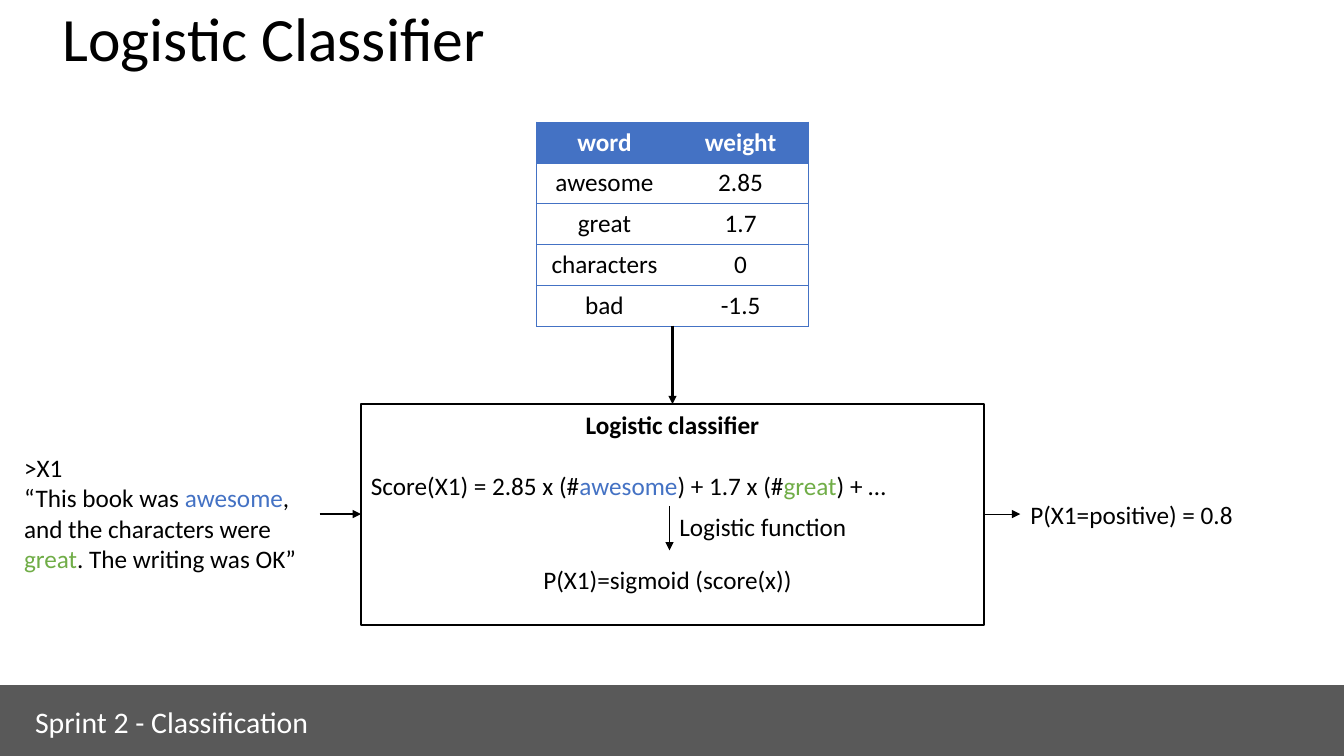
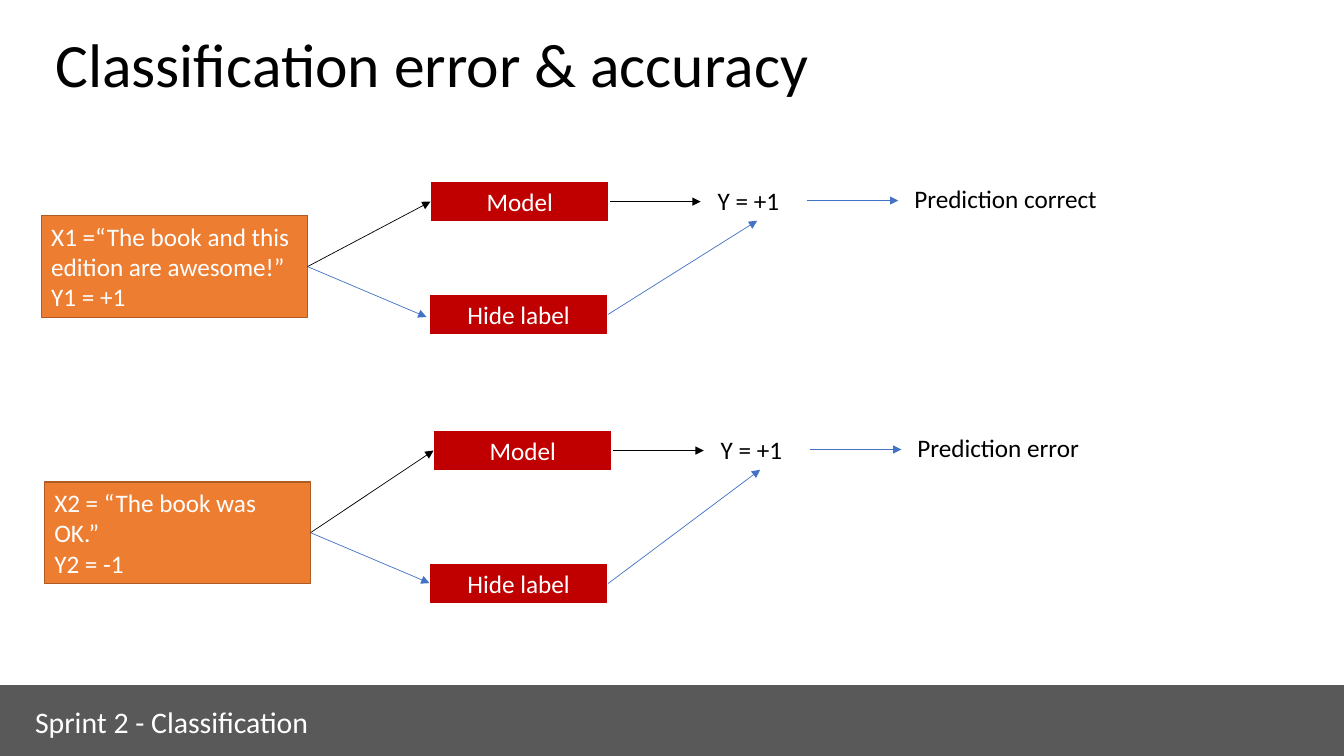
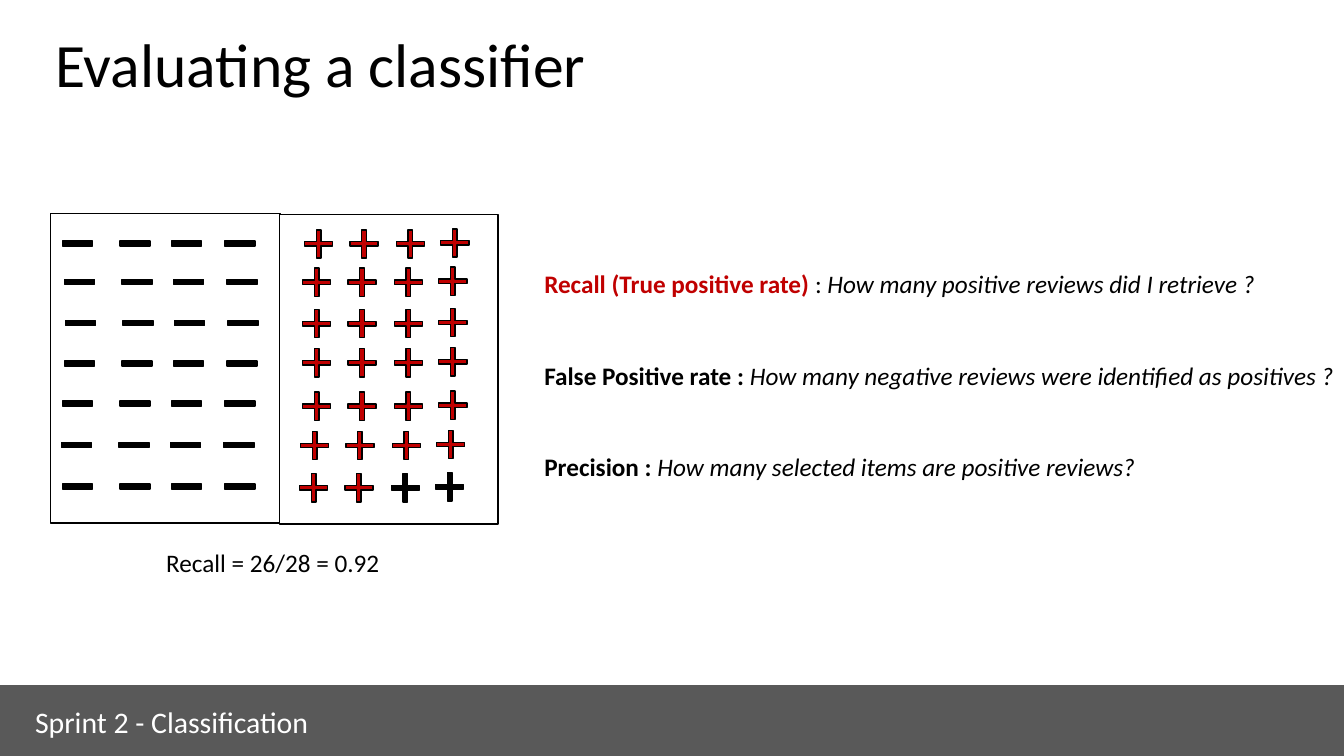
from lxml import etree
from pptx import Presentation
from pptx import util as u
from pptx.dml.color import RGBColor
from pptx.enum import shapes, text
from pptx.oxml.ns import qn

FONT = "Calibri"
BLACK, WHITE, GRAY = "000000", "FFFFFF", "595959"
BLUE, GREEN, RED = "4472C4", "70AD47", "C00000"
ORANGE, BROWN = "ED7D31", "AF5C24"
LINE_HEIGHT = 22  # points, one line of 18 pt text

RECT = shapes.MSO_SHAPE.RECTANGLE
PLUS = shapes.MSO_SHAPE.CROSS
LEFT, CENTER = text.PP_ALIGN.LEFT, text.PP_ALIGN.CENTER
TOP, MIDDLE = text.MSO_ANCHOR.TOP, text.MSO_ANCHOR.MIDDLE


def rgb(color):
    return RGBColor.from_string(color)


def inches(*lengths):
    return [u.Inches(length) for length in lengths]


def write(frame, paragraphs, size=18, color=BLACK, bold=False, align=LEFT,
          anchor=TOP, gap=0, spacing=None):
    """Fill a frame; a paragraph is a string or a list of strings and (string, format) runs."""
    frame.word_wrap = True
    frame.vertical_anchor = anchor
    for i, runs in enumerate(paragraphs):
        paragraph = frame.add_paragraph() if i else frame.paragraphs[0]
        paragraph.alignment = align
        if i and gap:
            paragraph.space_before = u.Pt(gap)
        if spacing:
            paragraph.line_spacing = spacing
        for part in [runs] if isinstance(runs, str) else runs:
            words, style = (part, {}) if isinstance(part, str) else part
            run = paragraph.add_run()
            run.text = words
            run.font.name = FONT
            run.font.size = u.Pt(size)
            run.font.bold = style.get("bold", bold)
            run.font.italic = style.get("italic", False)
            run.font.color.rgb = rgb(style.get("color", color))


def label(slide, at, *paragraphs, **style):
    frame = slide.shapes.add_textbox(*inches(*at)).text_frame
    write(frame, paragraphs, **style)


def box(slide, at, fill, line, *paragraphs, kind=RECT, width=1, **style):
    shape = slide.shapes.add_shape(kind, *inches(*at))
    shape.shadow.inherit = False
    shape.fill.solid()
    shape.fill.fore_color.rgb = rgb(fill)
    shape.line.color.rgb = rgb(line)
    shape.line.width = u.Pt(width)
    if paragraphs:
        write(shape.text_frame, paragraphs, **style)
    return shape


def arrow(slide, start, end, color=BLACK, width=0.5):
    connector = slide.shapes.add_connector(
        shapes.MSO_CONNECTOR.STRAIGHT, *inches(*start, *end))
    connector.line.color.rgb = rgb(color)
    connector.line.width = u.Pt(width)
    etree.SubElement(connector.line._get_or_add_ln(), qn("a:tailEnd"), type="triangle")
    etree.SubElement(connector._element.spPr, qn("a:effectLst"))


def set_borders(cell, sides):
    """Draw thin blue borders on the given sides and none on the others."""
    properties = cell._tc.get_or_add_tcPr()
    for i, side in enumerate("LRTB"):
        line = etree.Element(qn(f"a:ln{side}"), w=str(u.Pt(0.5)))
        if side in sides:
            fill = etree.SubElement(line, qn("a:solidFill"))
            etree.SubElement(fill, qn("a:srgbClr"), val=BLUE)
        else:
            etree.SubElement(line, qn("a:noFill"))
        properties.insert(i, line)


def weight_table(slide, at, rows):
    table = slide.shapes.add_table(len(rows), len(rows[0]), *inches(*at)).table
    for r, row in enumerate(rows):
        for c, value in enumerate(row):
            cell = table.cell(r, c)
            header = r == 0
            cell.fill.solid()
            cell.fill.fore_color.rgb = rgb(BLUE if header else WHITE)
            write(cell.text_frame, [value], color=WHITE if header else BLACK,
                  bold=header, align=CENTER)
            set_borders(cell, "TBL" if c == 0 else "TBR")


def new_slide(deck, title, title_at=(0.45, 0.29)):
    slide = deck.slides.add_slide(deck.slide_layouts[6])
    label(slide, (*title_at, 12, 1.25), title, size=44, spacing=0.9)
    box(slide, (-0.02, 6.8, 13.35, 0.7), GRAY, GRAY)
    label(slide, (0.25, 6.93, 3.36, 0.46), "Sprint 2 - Classification",
          size=21.3, color=WHITE, anchor=MIDDLE)
    return slide


def logistic_classifier(deck):
    slide = new_slide(deck, "Logistic Classifier", (0.52, 0.03))
    awesome = ("awesome", {"color": BLUE})
    great = ("great", {"color": GREEN})

    label(slide, (0.14, 4.44, 3.03, 1.31), ">X1",
          ["“This book was ", awesome, ", and the characters were ", great,
           ". The writing was OK”"])
    classifier = box(slide, (3.58, 4.01, 6.18, 2.19), WHITE, BLACK,
                     [("Logistic classifier", {"bold": True})],
                     ["Score(X1) = 2.85 x (#", awesome, ") + 1.7 x (#", great, ") + …"],
                     gap=LINE_HEIGHT)
    classifier.text_frame.paragraphs[0].alignment = CENTER
    weight_table(slide, (5.32, 1.21, 2.7, 2.03),
                 [("word", "weight"), ("awesome", "2.85"), ("great", "1.7"),
                  ("characters", "0"), ("bad", "-1.5")])
    arrow(slide, (6.67, 3.23), (6.67, 4.01), width=1.5)
    arrow(slide, (3.17, 5.1), (3.58, 5.1), width=1.5)
    arrow(slide, (6.64, 5.02), (6.64, 5.46))
    arrow(slide, (9.76, 5.1), (10.12, 5.1))
    label(slide, (6.64, 5.02, 2, 0.4), "Logistic function")
    label(slide, (5.29, 5.55, 2.7, 0.4), "P(X1)=sigmoid (score(x))")
    label(slide, (10.12, 4.9, 3.01, 0.4), "P(X1=positive) = 0.8")


def prediction(slide, review, review_at, model_at, hide_at, verdict):
    """One review passing through the model and compared with its hidden label."""
    review_size, step_size = (2.64, 1.01), (1.77, 0.4)
    x, y = model_at
    exit_x, exit_y = review_at[0] + review_size[0], review_at[1] + review_size[1] / 2

    box(slide, (*review_at, *review_size), ORANGE, BROWN, *review,
        color=WHITE, anchor=MIDDLE)
    for name, step_at in (("Model", model_at), ("Hide label", hide_at)):
        box(slide, (*step_at, *step_size), RED, WHITE, name, width=0.75,
            color=WHITE, align=CENTER, anchor=MIDDLE)
    label(slide, (x + 2.75, y - 0.01, 0.98, 0.4), "Y = +1")
    label(slide, (x + 4.7, y - 0.03, 2.26, 0.4), verdict)

    arrow(slide, (exit_x, exit_y), (x, y + 0.2))
    arrow(slide, (x + 1.78, y + 0.2), (x + 2.68, y + 0.2))
    arrow(slide, (exit_x, exit_y), (exit_x + 1.18, exit_y + 0.5), BLUE)
    arrow(slide, (hide_at[0] + 1.77, hide_at[1] + 0.2), (x + 3.24, y + 0.39), BLUE)
    arrow(slide, (x + 3.73, y + 0.19), (x + 4.64, y + 0.19), BLUE)


def error_and_accuracy(deck):
    slide = new_slide(deck, "Classification error & accuracy")
    prediction(slide, ["X1 =“The book and this edition are awesome!”", "Y1 = +1"],
               (0.41, 2.14), (4.27, 1.8), (4.26, 2.92), "Prediction correct")
    prediction(slide, ["X2 = “The book was OK.”", "Y2 = -1"],
               (0.44, 4.78), (4.3, 4.27), (4.26, 5.59), "Prediction error")


def evaluating(deck):
    slide = new_slide(deck, "Evaluating a classifier")
    bold, italic = {"bold": True}, {"italic": True}
    label(slide, (5.3, 2.61, 8.76, 2.83),
          [("Recall (True positive rate) ", {"bold": True, "color": RED}), ": ",
           ("How many positive reviews did I retrieve ?", italic)],
          [("False Positive rate : ", bold),
           ("How many negative reviews were identified as positives ?", italic)],
          [("Precision : ", bold),
           ("How many selected items are positive reviews?", italic)],
          gap=2 * LINE_HEIGHT)
    box(slide, (0.5, 2.12, 2.28, 3.07), WHITE, BLACK)
    box(slide, (2.77, 2.13, 2.17, 3.07), WHITE, BLACK)

    positive_rows = [(3.02, 2.28), (3, 2.66), (3, 3.07), (3, 3.46),
                     (3, 3.89), (2.98, 4.28), (2.97, 4.7)]
    positive_columns = [(0, 0), (0.45, 0), (0.91, 0), (1.35, -0.01)]
    missed = {(6, 2), (6, 3)}
    for r, (x, y) in enumerate(positive_rows):
        for c, (dx, dy) in enumerate(positive_columns):
            plus = box(slide, (x + dx, y + dy, 0.28, 0.28),
                       BLACK if (r, c) in missed else RED, BLACK, kind=PLUS)
            plus.adjustments[0] = 0.42

    negative_rows = [(0.62, 2.39), (0.64, 2.77), (0.65, 3.18), (0.64, 3.58),
                     (0.62, 3.98), (0.61, 4.39), (0.62, 4.8)]
    for x, y in negative_rows:
        for dx in (0, 0.57, 1.08, 1.61):
            box(slide, (x + dx, y, 0.3, 0.05), BLACK, BLACK)

    label(slide, (1.55, 5.38, 2.55, 0.4), "Recall = 26/28 = 0.92")


def main():
    deck = Presentation()
    deck.slide_width, deck.slide_height = inches(13.33, 7.5)
    logistic_classifier(deck)
    error_and_accuracy(deck)
    evaluating(deck)
    deck.save("out.pptx")


if __name__ == "__main__":
    main()
